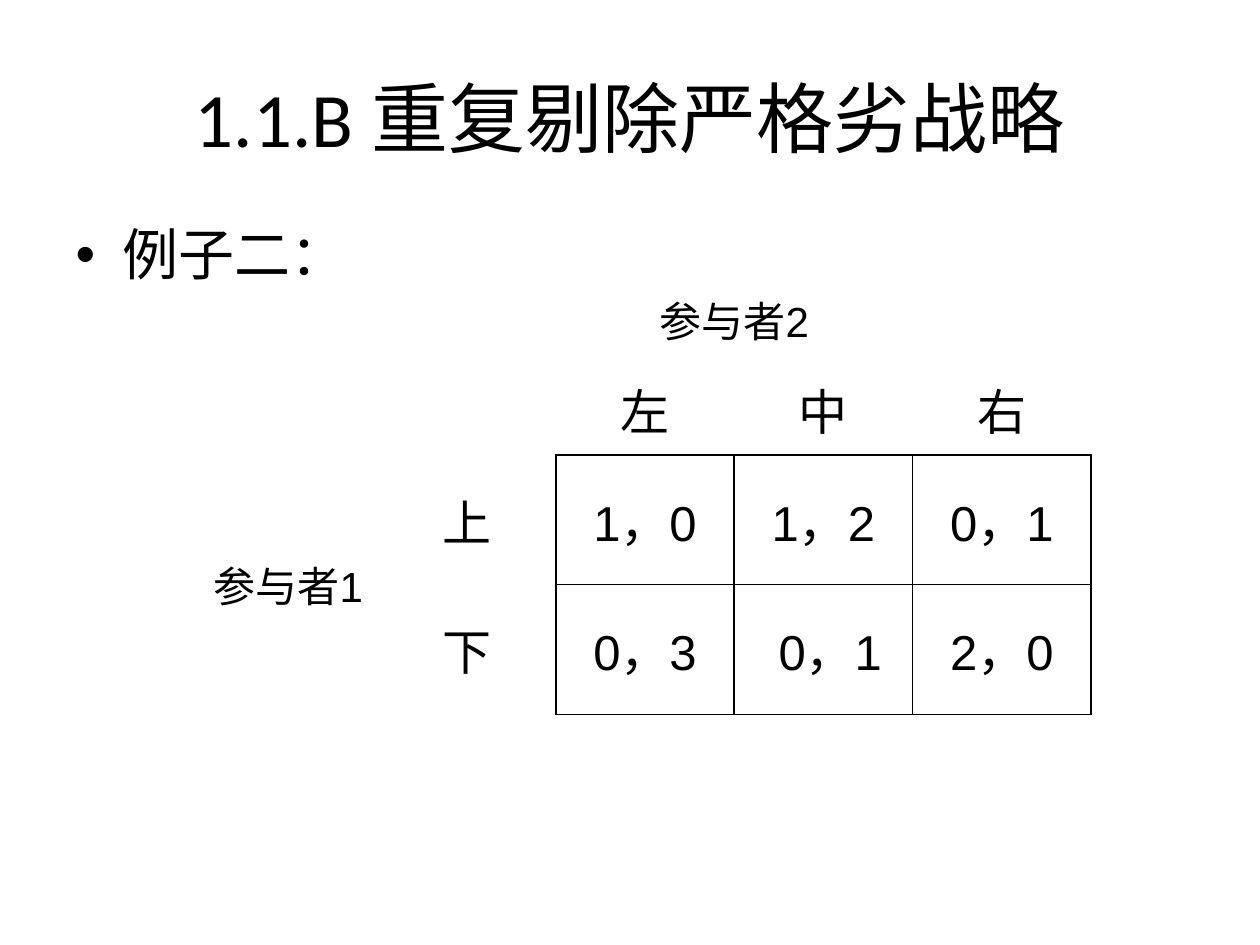
from pptx import Presentation
from pptx.dml.color import RGBColor
from pptx.enum.text import MSO_ANCHOR as Anchor, PP_ALIGN as Align
from pptx.oxml import parse_xml
from pptx.oxml.ns import nsdecls
from pptx.util import Inches, Pt

COLORS = {"ink": "000000"}
GAME = [
    ["", "", "参与者2", "", ""],
    ["", "", "左", "中", "右"],
    ["参与者1", "上", "1，0", "1，2", "0，1"],
    ["", "下", "0，3", " 0，1", "2，0"],
]
HEIGHTS = [0.72, 0.72, 1.03, 1.03]


def style(para, face, size):
    for run in para.runs:
        run.font.name = face
        run.font.size = Pt(size)
        run.font.color.rgb = RGBColor.from_string(COLORS["ink"])


def place(shape, box):
    shape.left, shape.top, shape.width, shape.height = map(Inches, box)


def add_title(slide, box, text):
    title = slide.shapes.title
    place(title, box)
    frame = title.text_frame
    frame.text = text
    frame.vertical_anchor = Anchor.MIDDLE
    para = frame.paragraphs[0]
    para.alignment = Align.CENTER
    style(para, "Calibri", 44)


def add_body(slide, box, text):
    body = slide.placeholders[1]
    place(body, box)
    body.text_frame.text = text
    para = body.text_frame.paragraphs[0]
    para.line_spacing = 0.9
    para.space_before = Pt(0)
    style(para, "Calibri", 32)


def edges(row, col):
    """Sides to rule: all round a payoff, and where a label meets the payoffs."""
    if row >= 2 and col >= 2:
        return "LRTB"
    if row >= 2 and col == 1:
        return "R"
    if row == 1 and col >= 2:
        return "B"
    return ""


def rule(cell, sides):
    """Draw the given sides and clear the others."""
    props = cell._tc.get_or_add_tcPr()
    ink = f'<a:solidFill><a:srgbClr val="{COLORS["ink"]}"/></a:solidFill>'
    for side in "LRTB":
        paint = ink if side in sides else "<a:noFill/>"
        props.append(parse_xml(
            f'<a:ln{side} {nsdecls("a")} w="{Pt(1)}">{paint}</a:ln{side}>'))


def add_game(slide, box):
    rows, cols = len(GAME), len(GAME[0])
    table = slide.shapes.add_table(rows, cols, *map(Inches, box)).table
    table.first_row = table.horz_banding = False
    for row, height in zip(table.rows, HEIGHTS):
        row.height = Inches(height)
    for r, line in enumerate(GAME):
        for c, text in enumerate(line):
            cell = table.cell(r, c)
            rule(cell, edges(r, c))
            cell.fill.background()
            cell.vertical_anchor = Anchor.MIDDLE
            cell.text_frame.text = text
            para = cell.text_frame.paragraphs[0]
            para.alignment = Align.CENTER
            style(para, "Arial", 24 if text.startswith("参与者") else 28)
    table.cell(0, 2).merge(table.cell(0, 3))
    table.cell(2, 0).merge(table.cell(3, 0))


def main():
    deck = Presentation()
    deck.slide_width, deck.slide_height = Inches(10), Inches(7.5)
    slide = deck.slides.add_slide(deck.slide_layouts[1])
    add_title(slide, (0.5, 0.3, 9, 1.25), "1.1.B 重复剔除严格劣战略")
    add_body(slide, (0.5, 1.75, 9, 5.5), "例子二：")
    add_game(slide, (1.58, 2.17, 7.08, sum(HEIGHTS)))
    deck.save("out.pptx")


if __name__ == "__main__":
    main()
